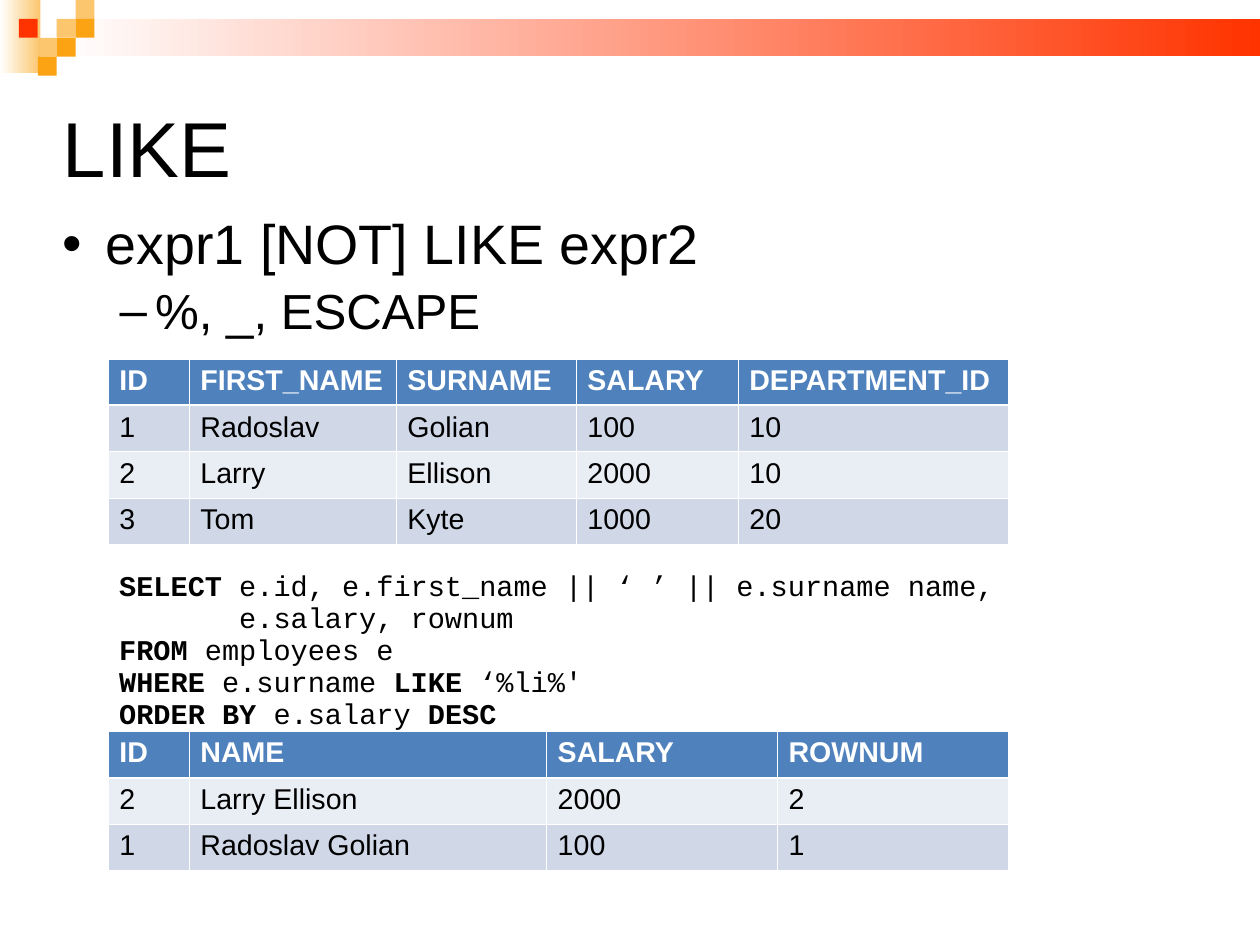
from lxml.etree import SubElement
from pptx import Presentation
from pptx.dml.color import RGBColor
from pptx.enum.shapes import MSO_SHAPE
from pptx.enum.text import MSO_ANCHOR, MSO_AUTO_SIZE, PP_ALIGN
from pptx.oxml.ns import qn
from pptx.util import Cm, Pt

COLORS = {
    "black": "000000", "white": "FFFFFF", "red": "FF3300",
    "orange": "FBA313", "sand": "FCC66E",
    "header": "4F81BD", "dark band": "D0D8E8", "light band": "E9EDF4",
}


def style(font, size, name="Arial", color="black", bold=False):
    font.size = Pt(size)
    font.name = name
    font.bold = bold
    font.color.rgb = RGBColor.from_string(COLORS[color])


def add_block(left, top, width, height, *colors):
    """Draw a borderless rectangle, plain or fading from left to right."""
    block = page.shapes.add_shape(
        MSO_SHAPE.RECTANGLE, Cm(left), Cm(top), Cm(width), Cm(height))
    block.shadow.inherit = False
    block.line.fill.background()
    if len(colors) == 1:
        block.fill.solid()
        block.fill.fore_color.rgb = RGBColor.from_string(COLORS[colors[0]])
    else:
        block.fill.gradient()
        block.fill.gradient_angle = 0
        for stop, color in zip(block.fill.gradient_stops, colors):
            stop.color.rgb = RGBColor.from_string(COLORS[color])


deck = Presentation()
deck.slide_width, deck.slide_height = Cm(28), Cm(21)
page = deck.slides.add_slide(deck.slide_layouts[1])

# Header band and its checkered corner
add_block(0, 0, 0.9, 1.63, "white", "sand")
add_block(1.27, 0.42, 26.73, 0.83, "white", "red")
SQUARE = 0.42
for column, row, color in [
    (3, 1, "sand"), (4, 0, "sand"), (4, 1, "orange"), (2, 2, "sand"),
    (1, 1, "red"), (3, 2, "orange"), (2, 3, "orange"),
]:
    add_block(column * SQUARE, row * SQUARE, SQUARE, SQUARE, color)

# Title and list
title, body = page.shapes.title, page.placeholders[1]
for box, top, height, inset, anchor, lines in [
    (title, 1.3, 4.2, 0, MSO_ANCHOR.MIDDLE, ["LIKE"]),
    (body, 4.7, 11.9, 0.15, MSO_ANCHOR.TOP,
     ["expr1 [NOT] LIKE expr2", "%, _, ESCAPE"]),
]:
    box.left, box.top, box.width, box.height = Cm(1.4), Cm(top), Cm(25.2), Cm(height)
    frame = box.text_frame
    frame.text = "\n".join(lines)
    frame.auto_size = MSO_AUTO_SIZE.NONE
    frame.word_wrap = True
    frame.vertical_anchor = anchor
    frame.margin_left = frame.margin_right = frame.margin_bottom = 0
    frame.margin_top = Cm(inset)
    for para in frame.paragraphs:
        para.alignment = PP_ALIGN.LEFT
        para.line_spacing = 0.87
        para.space_before = Pt(0)

style(title.text_frame.paragraphs[0].runs[0].font, 49)

for para, level, bullet, indent, hanging, size, gap in zip(
    body.text_frame.paragraphs, (0, 1), "•–", (0.95, 2.05), (0.95, 0.79),
    (35, 31), (0, 7.7),
):
    para.level = level
    para.space_before = Pt(gap)
    properties = para._p.get_or_add_pPr()
    properties.set("marL", str(Cm(indent)))
    properties.set("indent", str(-Cm(hanging)))
    SubElement(properties, qn("a:buChar")).set("char", bullet)
    style(para.runs[0].font, size)

# Query: each line is a list of (text, bold) pieces
query = [
    [("SELECT ", True), ("e.id, e.first_name || ‘ ’ || e.surname name, ", False),
     ("\n", False), ("       e.salary, rownum", False)],
    [("FROM", True), (" employees e", False)],
    [("WHERE ", True), ("e.surname ", False), ("LIKE", True), (" ‘%li%'", False)],
    [("ORDER BY ", True), ("e.salary ", False), ("DESC", True)],
]
box = page.shapes.add_textbox(Cm(2.4), Cm(12.55), Cm(23.6), Cm(3.84))
frame = box.text_frame
frame.word_wrap = True
for number, pieces in enumerate(query):
    para = frame.add_paragraph() if number else frame.paragraphs[0]
    para.line_spacing = 0.94
    for text, bold in pieces:
        if text == "\n":
            para.add_line_break()
            continue
        span = para.add_run()
        span.text = text
        style(span.font, 18, "Courier New", bold=bold)

# Result of the query, then the employees it reads
result = [
    ["ID", "NAME", "SALARY", "ROWNUM"],
    ["2", "Larry Ellison", "2000", "2"],
    ["1", "Radoslav Golian", "100", "1"],
]
employees = [
    ["ID", "FIRST_NAME", "SURNAME", "SALARY", "DEPARTMENT_ID"],
    ["1", "Radoslav", "Golian", "100", "10"],
    ["2", "Larry", "Ellison", "2000", "10"],
    ["3", "Tom", "Kyte", "1000", "20"],
]
ROW_HEIGHT = 1.03
for top, widths, bands, rows in [
    (16.25, [1.8, 7.94, 5.13, 5.13], ["dark band", "light band"], result),
    (7.98, [1.8, 4.6, 4, 3.6, 6], ["light band", "dark band"], employees),
]:
    table = page.shapes.add_table(
        len(rows), len(widths), Cm(2.4), Cm(top),
        Cm(sum(widths)), Cm(ROW_HEIGHT * len(rows))).table
    for column, width in zip(table.columns, widths):
        column.width = Cm(width)
    for r, values in enumerate(rows):
        table.rows[r].height = Cm(ROW_HEIGHT)
        for c, value in enumerate(values):
            cell = table.cell(r, c)
            cell.text = value
            style(cell.text_frame.paragraphs[0].runs[0].font, 18,
                  color="black" if r else "white", bold=r == 0)
            for side in "LRTB":
                thick = (r, side) in [(0, "B"), (1, "T")]
                border = SubElement(cell._tc.get_or_add_tcPr(), qn(f"a:ln{side}"))
                border.set("w", str(Pt(1.47 if thick else 0.45)))
                fill = SubElement(border, qn("a:solidFill"))
                SubElement(fill, qn("a:srgbClr")).set("val", COLORS["white"])
            cell.fill.solid()
            cell.fill.fore_color.rgb = RGBColor.from_string(
                COLORS[bands[r % 2] if r else "header"])

deck.save("out.pptx")
